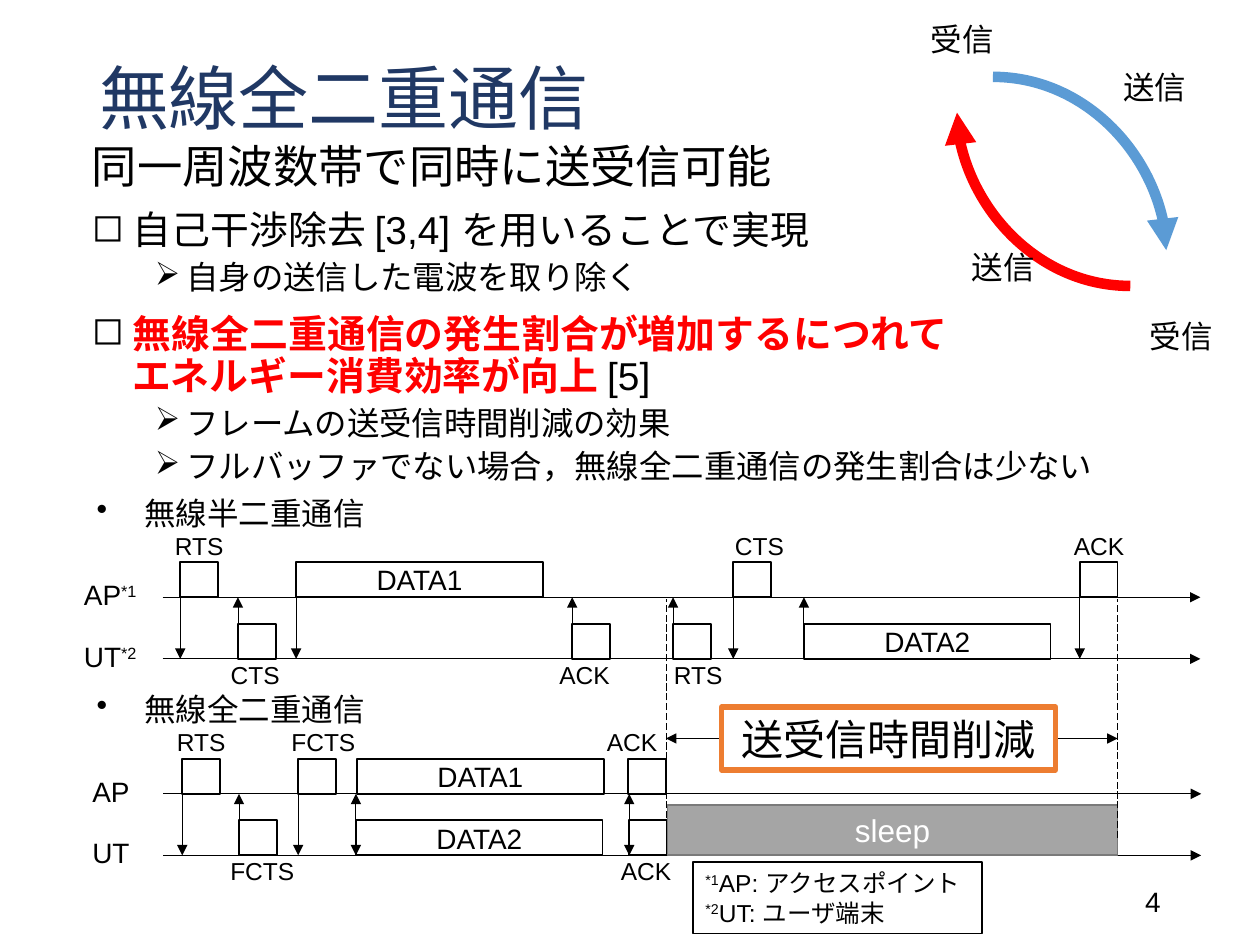
from lxml.etree import SubElement
from pptx import Presentation
from pptx.dml.color import RGBColor
from pptx.enum.dml import MSO_LINE
from pptx.enum.shapes import MSO_CONNECTOR, MSO_SHAPE
from pptx.enum.text import MSO_ANCHOR, PP_ALIGN
from pptx.oxml.ns import qn
from pptx.util import Pt

COLORS = {
    "black": "000000", "white": "FFFFFF", "navy": "203864", "red": "FF0000",
    "blue": "5B9BD5", "orange": "ED7D31", "gray": "A5A5A5", "dark gray": "7A7A7A",
}
LATIN, JAPANESE = "Arial", "Noto Sans CJK JP"
CENTER = PP_ALIGN.CENTER
LANE_GAP = 35.2
AXIS_LENGTH = 593
FRAME_HEIGHT = 20
SHORT, LONG = 21.6, 141

# lane, x, width, text inside, label, label centre, arrow
HALF_DUPLEX = [
    ("AP", 10, SHORT, "", "RTS", 20.8, "one way"),
    ("UT", 43, SHORT, "", "CTS", 52.8, "one way"),
    ("AP", 76.2, LONG, "DATA1", "", 0, "one way"),
    ("UT", 234, SHORT, "", "ACK", 241, "one way"),
    ("UT", 291.6, SHORT, "", "RTS", 306, "one way"),
    ("AP", 326, SHORT, "", "CTS", 341, "one way"),
    ("UT", 366.4, LONG, "DATA2", "", 0, "one way"),
    ("AP", 524, SHORT, "", "ACK", 535, "one way"),
]
FULL_DUPLEX = [
    ("AP", 10.8, SHORT, "", "RTS", 21.6, "one way"),
    ("UT", 43.2, SHORT, "", "FCTS", 56.5, "one way"),
    ("AP", 77, SHORT, "", "FCTS", 91.4, "one way"),
    ("AP", 110.6, LONG, "DATA1", "", 0, ""),
    ("UT", 110, LONG, "DATA2", "", 0, "both ways"),
    ("UT", 266.2, SHORT, "", "ACK", 275.8, "both ways"),
    ("AP", 265.6, SHORT, "", "ACK", 267.8, ""),
]


def rgb(name):
    return RGBColor.from_string(COLORS[name])


def add_span(para, text, size=18, color="black", bold=False, font=LATIN, raised=False):
    span = para.add_run()
    span.text = text
    span.font.size = Pt(size)
    span.font.bold = bold
    span.font.name = font
    span.font.color.rgb = rgb(color)
    properties = span.font._element
    SubElement(properties, qn("a:ea")).set("typeface", JAPANESE)
    if raised:
        properties.set("baseline", "30000")


def set_bullet(para, char, margin, hanging):
    properties = para._p.get_or_add_pPr()
    properties.set("marL", str(Pt(margin)))
    properties.set("indent", str(-Pt(hanging)))
    SubElement(properties, qn("a:buChar")).set("char", char)


def add_text(page, text, left, top, width, height, align=PP_ALIGN.LEFT,
             anchor=MSO_ANCHOR.TOP, bullet=None, **style):
    box = page.shapes.add_textbox(Pt(left), Pt(top), Pt(width), Pt(height))
    frame = box.text_frame
    frame.word_wrap = True
    frame.vertical_anchor = anchor
    para = frame.paragraphs[0]
    if bullet:
        set_bullet(para, bullet, 27, 27)
    para.alignment = align
    add_span(para, text, **style)
    return para


def add_box(page, left, top, width, height, text="", fill="white", line="black",
            line_width=1, **style):
    box = page.shapes.add_shape(MSO_SHAPE.RECTANGLE, Pt(left), Pt(top), Pt(width), Pt(height))
    box.shadow.inherit = False
    box.fill.solid()
    box.fill.fore_color.rgb = rgb(fill)
    box.line.color.rgb = rgb(line)
    box.line.width = Pt(line_width)
    if text:
        para = box.text_frame.paragraphs[0]
        para.alignment = CENTER
        add_span(para, text, **style)
    return box


def add_line(page, x1, y1, x2, y2, color="black", width=0.5, head=False, tail=True,
             dashed=False, curved=False):
    kind = MSO_CONNECTOR.CURVE if curved else MSO_CONNECTOR.STRAIGHT
    connector = page.shapes.add_connector(kind, Pt(x1), Pt(y1), Pt(x2), Pt(y2))
    connector.line.color.rgb = rgb(color)
    connector.line.width = Pt(width)
    if dashed:
        connector.line.dash_style = MSO_LINE.LONG_DASH
    properties = connector._element.spPr
    if curved:
        properties.find(qn("a:prstGeom")).set("prst", "curvedConnector2")
    outline = connector.line._get_or_add_ln()
    for tag, wanted in (("a:headEnd", head), ("a:tailEnd", tail)):
        if wanted:
            SubElement(outline, qn(tag)).set("type", "triangle")
    SubElement(properties, qn("a:effectLst"))


def add_body(page, left, top, width, height):
    first = add_text(page, "同一周波数帯で同時に送受信可能", left, top, width, height, size=25.9)
    first.line_spacing = 0.9
    frame = page.shapes[-1].text_frame

    def add_item(level, *spans):
        para = frame.add_paragraph()
        set_bullet(para, "➢" if level else "◻", 54 if level else 18, 18)
        para.line_spacing = 0.9
        para.space_before = Pt(5 if level else 10)
        for text, style in spans:
            if text == "\n":
                para.add_line_break()
            else:
                add_span(para, text, **style)

    plain = {"size": 22.2}
    strong = {"size": 22.2, "bold": True, "color": "red"}
    detail = {"size": 18.5, "font": JAPANESE}
    add_item(0, (" 自己干渉除去 [3,4] を用いることで実現", plain))
    add_item(1, ("自身の送信した電波を取り除く", detail))
    add_item(0, (" ", {"size": 22.2, "bold": True}),
             ("無線全二重通信の発生割合が増加するにつれて", strong), ("\n", {}),
             (" エネルギー消費効率が向上 ", strong), ("[5]", plain))
    add_item(1, ("フレームの送受信時間削減の効果", detail))
    add_item(1, ("フルバッファでない場合，無線全二重通信の発生割合は少ない", detail))


def add_exchange(page, left, top, width, height):
    """Two curved arrows between a sender and a receiver."""
    arc = 99
    start_x, start_y = left + 54, top + 36
    end_x, end_y = left + width - 65, top + height - 45
    add_line(page, end_x, end_y, end_x - arc, end_y - arc, "red", 6, curved=True)
    add_line(page, start_x, start_y, start_x + arc, start_y + arc, "blue", 6, curved=True)
    for text, x, y in (("受信", 0, 0), ("送信", 110, 27.4), ("送信", 23.4, 130.3),
                       ("受信", 125.3, 169.9)):
        add_text(page, text, left + x, top + y, 72.7, 26.6, align=CENTER, font=JAPANESE)


def add_timeline(page, left, top, heading, frames, marks=("", "")):
    """Draw the AP and UT lanes, with the AP lane 62.6 points below top."""
    add_text(page, heading, 48.2, top, 209, 28.8, bullet="•")
    access = top + 62.6
    lanes = {"AP": access, "UT": access + LANE_GAP}
    for (name, y), mark in zip(lanes.items(), marks):
        add_line(page, left, y, left + AXIS_LENGTH, y)
        para = add_text(page, name, left - 60, y - 14.6, 60, 26.6, align=CENTER, size=16)
        if mark:
            add_span(para, mark, size=16, raised=True)
    for lane, x, width, text, label, label_center, arrow in frames:
        y = lanes[lane]
        add_box(page, left + x, y - FRAME_HEIGHT, width, FRAME_HEIGHT, text, size=16)
        if label:
            label_top = y - 41.6 if lane == "AP" else y - 2.9
            add_text(page, label, left + label_center - 30, label_top, 60, 24.5,
                     align=CENTER, size=14)
        if arrow == "both ways":
            add_line(page, left + x, lanes["UT"], left + x, access, head=True)
        elif arrow and lane == "AP":
            add_line(page, left + x, access, left + x, lanes["UT"])
        elif arrow:
            add_line(page, left + x, y - FRAME_HEIGHT, left + x, access)


def add_saving(page, left, top, width, height):
    """Mark the time saved and the sleep period that fills it."""
    right = left + width
    add_line(page, left, top + 80, right, top + 80, head=True)
    add_box(page, left + 31.8, top + 62, 190.8, 36, "送受信時間削減",
            line="orange", line_width=3, size=24)
    add_box(page, left + 0.8, top + height - 28.8, width - 0.8, 28.8, "sleep",
            fill="gray", line="dark gray", color="white")
    for x in (left, right):
        add_line(page, x, top + height - 10, x, top, tail=False, dashed=True)


def add_legend(page, left, top, width, height):
    box = add_box(page, left, top, width, height)
    frame = box.text_frame
    frame.add_paragraph()
    notes = (("*1", "AP: アクセスポイント"), ("*2", "UT: ユーザ端末"))
    for para, (mark, text) in zip(frame.paragraphs, notes):
        para.alignment = PP_ALIGN.LEFT
        add_span(para, mark, size=14, raised=True)
        add_span(para, text, size=14)


def main():
    deck = Presentation()
    deck.slide_width, deck.slide_height = Pt(720), Pt(540)
    page = deck.slides.add_slide(deck.slide_layouts[6])
    title = add_text(page, "無線全二重通信", 49.5, 5.8, 620.6, 104.4,
                     anchor=MSO_ANCHOR.MIDDLE, size=40, color="navy")
    title.line_spacing = 0.9
    add_body(page, 45.4, 79.2, 620.6, 208.8)
    add_text(page, "4", 508.3, 500.4, 162, 28.8, align=PP_ALIGN.RIGHT,
             anchor=MSO_ANCHOR.MIDDLE, size=16)
    add_exchange(page, 513.4, 7.9, 197.5, 200.5)
    add_timeline(page, 93, 278.7, "無線半二重通信", HALF_DUPLEX, ("*1", "*2"))
    add_timeline(page, 93.4, 391, "無線全二重通信", FULL_DUPLEX)
    add_saving(page, 380.6, 342, 258, 146.8)
    add_legend(page, 396, 492.5, 165, 41)
    deck.save("out.pptx")


if __name__ == "__main__":
    main()
